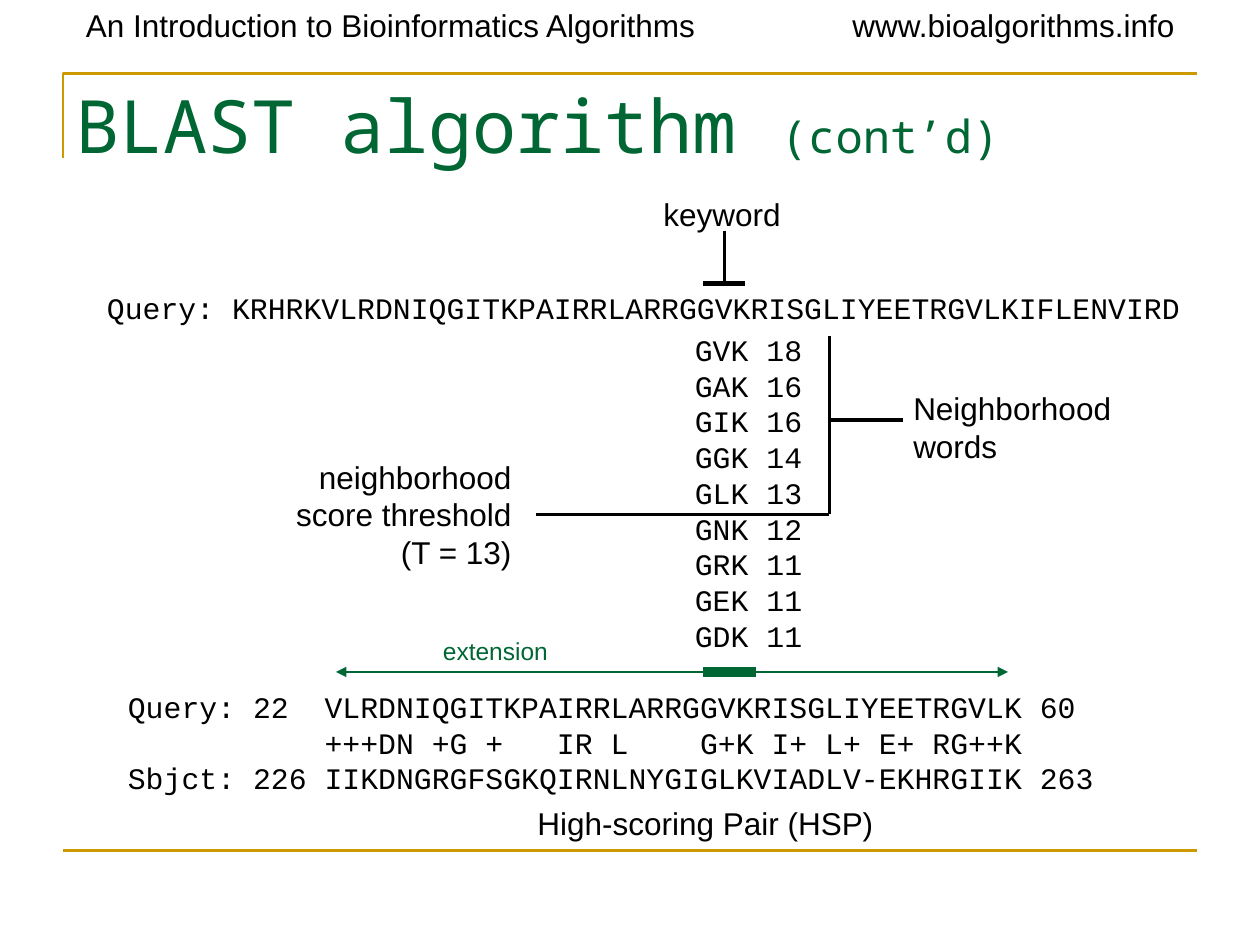
from dataclasses import dataclass

from lxml import etree
from pptx import Presentation
from pptx.dml.color import RGBColor
from pptx.enum.shapes import MSO_CONNECTOR
from pptx.enum.text import MSO_ANCHOR, PP_ALIGN
from pptx.oxml.ns import qn
from pptx.util import Inches, Pt

STRAIGHT = MSO_CONNECTOR.STRAIGHT
TOP = MSO_ANCHOR.TOP
LEFT, RIGHT = PP_ALIGN.LEFT, PP_ALIGN.RIGHT
COLUMNS, ROWS = 120, 90


@dataclass(frozen=True)
class Style:
    """Typeface, size in points and colour of a run."""
    font: str
    size: int
    color: RGBColor


@dataclass(frozen=True)
class Theme:
    """Colours and type styles of the slide."""
    ink = RGBColor(0x00, 0x00, 0x00)
    green = RGBColor(0x00, 0x66, 0x33)
    gold = RGBColor(0xCC, 0x99, 0x00)
    title = Style("Noto Sans Mono", 42, green)
    subtitle = Style("Noto Sans Mono", 26, green)
    sequence = Style("Courier New", 17, ink)
    label = Style("Arial", 18, ink)
    note = Style("Arial", 14, green)


THEME = Theme()


def cell(count):
    """Convert grid cells, twelve to the inch, to a length."""
    return Inches(count / 12)


def add_text(slide, box, paragraphs, align=LEFT):
    """Add a text box on the grid; each paragraph is a list of (text, style) runs."""
    shape = slide.shapes.add_textbox(*map(cell, box))
    frame = shape.text_frame
    frame.word_wrap = True
    frame.vertical_anchor = TOP
    for index, runs in enumerate(paragraphs):
        paragraph = frame.paragraphs[0] if index == 0 else frame.add_paragraph()
        paragraph.alignment = align
        for text, style in runs:
            run = paragraph.add_run()
            run.text = text
            run.font.name = style.font
            run.font.size = Pt(style.size)
            run.font.color.rgb = style.color


def add_lines(slide, box, lines, style, align=LEFT):
    """Add a text box whose lines all share one style."""
    add_text(slide, box, [[(line, style)] for line in lines], align)


def add_rule(slide, start, end, color, width, arrows=False):
    """Add a straight line between two grid points."""
    connector = slide.shapes.add_connector(STRAIGHT, *map(cell, start + end))
    connector.line.color.rgb = color
    connector.line.width = Pt(width)
    if arrows:
        line = connector.line._get_or_add_ln()
        for tag in ("a:headEnd", "a:tailEnd"):
            etree.SubElement(line, qn(tag)).set("type", "triangle")
    etree.SubElement(connector._element.spPr, qn("a:effectLst"))


def add_page_frame(slide):
    """Add the gold corner, the bottom rule and the running header."""
    builder = slide.shapes.build_freeform(cell(6), cell(15))
    builder.add_line_segments([(cell(6), cell(7)), (cell(114), cell(7))], close=False)
    corner = builder.convert_to_shape()
    corner.shadow.inherit = False
    corner.fill.background()
    corner.line.color.rgb = THEME.gold
    corner.line.width = Pt(1.5)
    add_rule(slide, (6, 81), (114, 81), THEME.gold, 1.5)
    add_lines(slide, (7, 0, 66, 4.8), ["An Introduction to Bioinformatics Algorithms"],
              THEME.label)
    add_lines(slide, (80, 0, 35, 4.8), ["www.bioalgorithms.info"], THEME.label)


def add_query(slide):
    """Add the query sequence with its keyword marker."""
    add_lines(slide, (9, 27, 106, 4.7),
              ["Query: KRHRKVLRDNIQGITKPAIRRLARRGGVKRISGLIYEETRGVLKIFLENVIRD"],
              THEME.sequence)
    add_rule(slide, (69, 27), (69, 22), THEME.ink, 1.5)
    add_rule(slide, (67, 27), (71, 27), THEME.ink, 3)
    add_lines(slide, (62, 18, 16, 4.8), ["keyword"], THEME.label)


def add_neighborhood(slide):
    """Add the scored words, the threshold line and their labels."""
    scores = {"GVK": 18, "GAK": 16, "GIK": 16, "GGK": 14, "GLK": 13,
              "GNK": 12, "GRK": 11, "GEK": 11, "GDK": 11}
    add_lines(slide, (65, 31, 14, 31.8),
              [f"{word} {score}" for word, score in scores.items()], THEME.sequence)
    add_lines(slide, (25, 43, 24.9, 12),
              ["neighborhood", "score threshold", "(T = 13)"], THEME.label, RIGHT)
    add_lines(slide, (85.8, 36.5, 24, 8.4), ["Neighborhood", "words"], THEME.label)
    for start, end in (((51, 49), (79, 49)), ((79, 49), (79, 32)), ((79, 40), (86, 40))):
        add_rule(slide, start, end, THEME.ink, 2.25)


def add_alignment(slide):
    """Add the extended high-scoring pair and its extension arrow."""
    add_lines(slide, (11, 65, 98, 11.4),
              ["Query: 22  VLRDNIQGITKPAIRRLARRGGVKRISGLIYEETRGVLK 60",
               "           +++DN +G +   IR L    G+K I+ L+ E+ RG++K",
               "Sbjct: 226 IIKDNGRGFSGKQIRNLNYGIGLKVIADLV-EKHRGIIK 263"],
              THEME.sequence)
    add_rule(slide, (32, 64), (96, 64), THEME.green, 0.75, arrows=True)
    add_rule(slide, (67, 64), (72, 64), THEME.green, 6)
    add_lines(slide, (50, 76, 38, 4.8), ["High-scoring Pair (HSP)"], THEME.label)
    add_lines(slide, (41, 60, 14, 4.1), ["extension"], THEME.note)


def main():
    """Build the slide and save it."""
    presentation = Presentation()
    presentation.slide_width, presentation.slide_height = cell(COLUMNS), cell(ROWS)
    slide = presentation.slides.add_slide(presentation.slide_layouts[6])
    add_page_frame(slide)
    add_text(slide, (6, 7, 108, 11.6),
             [[("BLAST algorithm ", THEME.title), ("(cont’d)", THEME.subtitle)]])
    add_query(slide)
    add_neighborhood(slide)
    add_alignment(slide)
    presentation.save("out.pptx")


if __name__ == "__main__":
    main()
